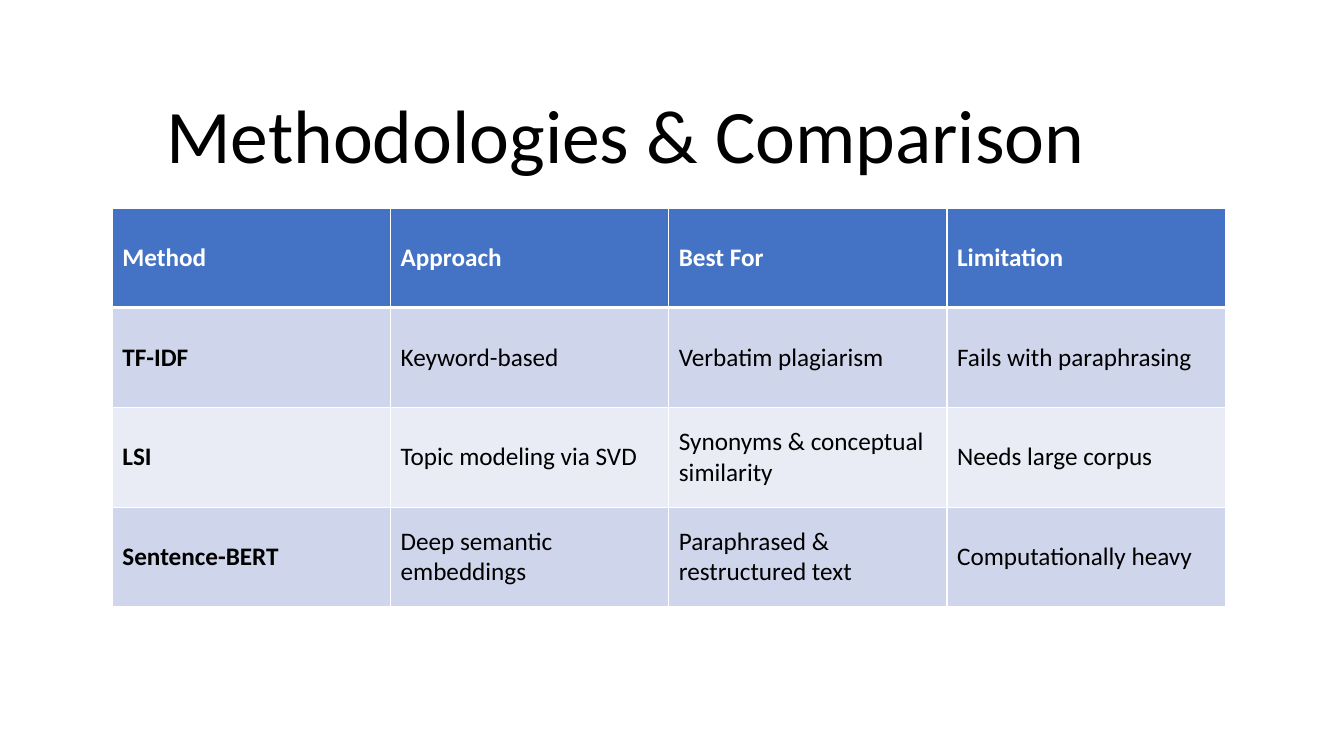
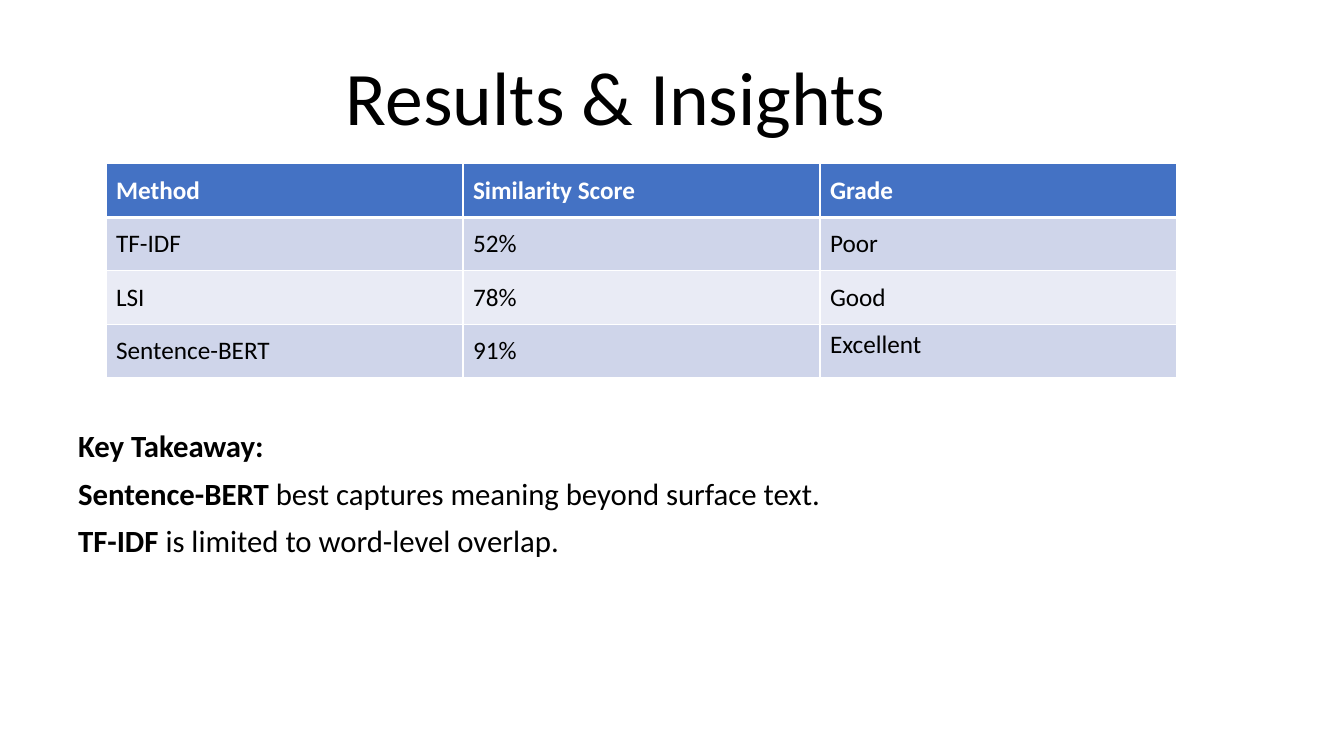
from collections import namedtuple
from dataclasses import dataclass

from lxml.etree import SubElement
from pptx import Presentation
from pptx.dml.color import RGBColor as Rgb
from pptx.enum.text import MSO_ANCHOR as Anchor, PP_ALIGN as Align
from pptx.oxml.ns import qn
from pptx.util import Emu, Pt

EMU_PER_PX = 9525
Box = namedtuple("Box", "left top width height")


@dataclass(frozen=True)
class Theme:
    font: str = "Calibri"
    ink: str = "000000"
    paper: str = "FFFFFF"
    header: str = "4472C4"
    bands: tuple = ("CFD5EA", "E9EBF5")
    title_size: int = 54
    body_size: int = 22
    table_size: int = 18
    line_spacing: float = 0.9
    body_gap: int = 10
    rule: int = 1
    header_rule: int = 3


THEME = Theme()


def px(length):
    return Emu(length * EMU_PER_PX)


def apply(target, formats):
    for name, value in formats.items():
        setattr(target, name, value)


def add_span(para, text, size, color=THEME.ink, bold=False):
    span = para.add_run()
    span.text = text
    apply(span.font, {"name": THEME.font, "size": Pt(size), "bold": bold})
    span.font.color.rgb = Rgb.from_string(color)


def add_text(page, box, paragraphs, size, anchor, formats):
    frame = page.shapes.add_textbox(*map(px, box)).text_frame
    apply(frame, {"word_wrap": True, "vertical_anchor": anchor})
    for index, spans in enumerate(paragraphs):
        para = frame.add_paragraph() if index else frame.paragraphs[0]
        apply(para, {"line_spacing": THEME.line_spacing, **formats})
        for text, bold in spans:
            add_span(para, text, size, bold=bold)


def add_title(page, box, text):
    add_text(page, box, [[(text, False)]], THEME.title_size, Anchor.BOTTOM,
             {"alignment": Align.CENTER})


def add_takeaway(page, box, paragraphs):
    add_text(page, box, paragraphs, THEME.body_size, Anchor.TOP,
             {"space_before": Pt(THEME.body_gap)})


def set_borders(cell, top, bottom):
    properties = cell._tc.get_or_add_tcPr()
    widths = {"L": THEME.rule, "R": THEME.rule, "T": top, "B": bottom}
    for side, width in widths.items():
        line = SubElement(properties, qn(f"a:ln{side}"), w=str(Pt(width)))
        fill = SubElement(line, qn("a:solidFill"))
        SubElement(fill, qn("a:srgbClr"), val=THEME.paper)


def style_cell(cell, text, row, bold):
    is_header = row == 0
    set_borders(cell,
                THEME.header_rule if row == 1 else THEME.rule,
                THEME.header_rule if is_header else THEME.rule)
    band = THEME.header if is_header else THEME.bands[(row - 1) % 2]
    cell.fill.solid()
    cell.fill.fore_color.rgb = Rgb.from_string(band)
    cell.vertical_anchor = Anchor.MIDDLE
    add_span(cell.text_frame.paragraphs[0], text, THEME.table_size,
             THEME.paper if is_header else THEME.ink, is_header or bold)


def add_grid(page, box, rows, bold_first_column=False):
    columns = len(rows[0])
    table = page.shapes.add_table(len(rows), columns, *map(px, box)).table
    for column in table.columns:
        column.width = px(box.width // columns)
    for row, texts in enumerate(rows):
        table.rows[row].height = px(box.height // len(rows))
        for column, text in enumerate(texts):
            style_cell(table.cell(row, column), text, row,
                       bold_first_column and column == 0)
    return table


def build_comparison(page):
    add_title(page, Box(72, 85, 1048, 91), "Methodologies & Comparison")
    add_grid(page, Box(107, 198, 1060, 380), [
        ("Method", "Approach", "Best For", "Limitation"),
        ("TF-IDF", "Keyword-based", "Verbatim plagiarism",
         "Fails with paraphrasing"),
        ("LSI", "Topic modeling via SVD", "Synonyms & conceptual similarity",
         "Needs large corpus"),
        ("Sentence-BERT", "Deep semantic embeddings",
         "Paraphrased & restructured text", "Computationally heavy"),
    ], bold_first_column=True)


def build_results(page):
    add_title(page, Box(53, 35, 1067, 105), "Results & Insights")
    add_takeaway(page, Box(65, 406, 1156, 296), [
        [("Key Takeaway:", True)],
        [("Sentence-BERT", True),
         (" best captures meaning beyond surface text.", False)],
        [("TF-IDF", True), (" is limited to word-level overlap.", False)],
    ])
    scores = add_grid(page, Box(101, 156, 1020, 204), [
        ("Method", "Similarity Score", "Grade"),
        ("TF-IDF", "52%", "Poor"),
        ("LSI", "78%", "Good"),
        ("Sentence-BERT", "91%", "Excellent"),
    ])
    scores.cell(3, 2).vertical_anchor = Anchor.TOP


def main():
    deck = Presentation()
    apply(deck, {"slide_width": px(1280), "slide_height": px(720)})
    blank = deck.slide_layouts[6]
    for build in (build_comparison, build_results):
        build(deck.slides.add_slide(blank))
    deck.save("out.pptx")


if __name__ == "__main__":
    main()
